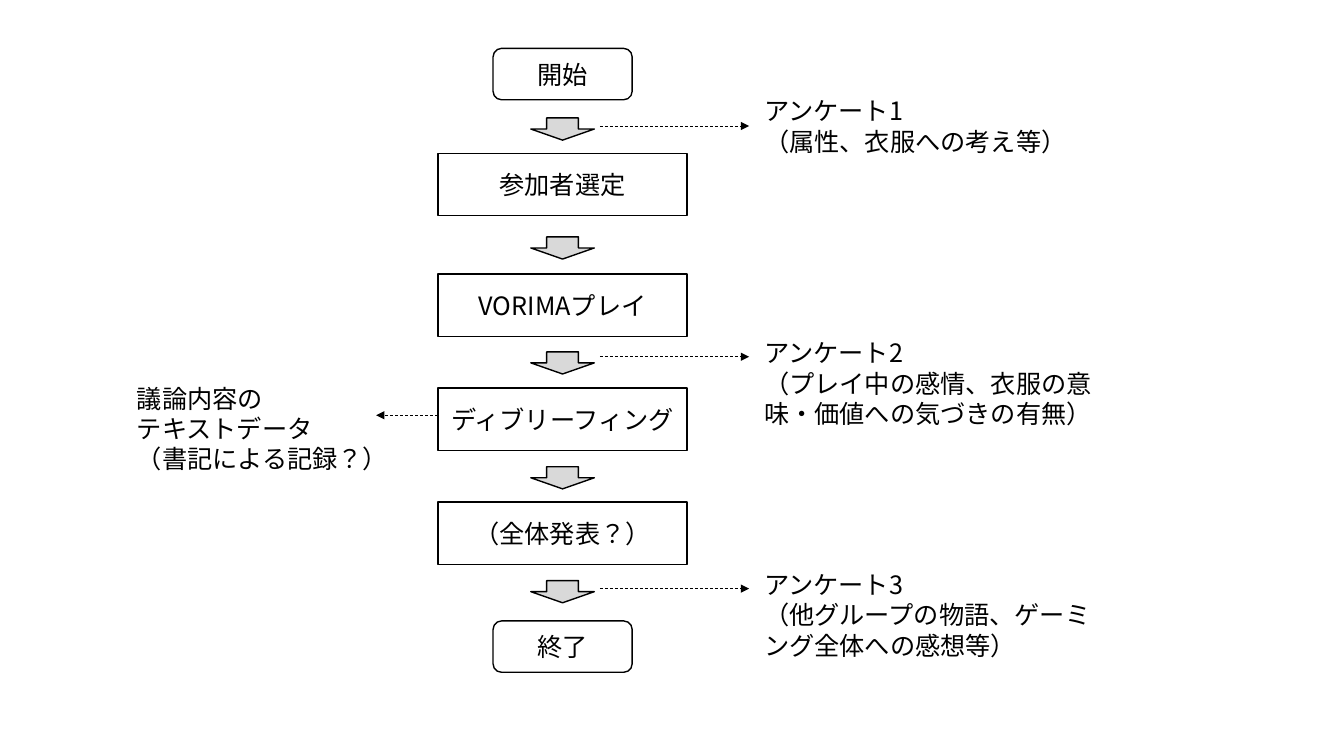
from lxml import etree
from pptx import Presentation
from pptx.dml.color import RGBColor
from pptx.enum.dml import MSO_LINE
from pptx.enum.lang import MSO_LANGUAGE_ID
from pptx.enum.shapes import MSO_CONNECTOR, MSO_SHAPE
from pptx.enum.text import MSO_ANCHOR, MSO_AUTO_SIZE, PP_ALIGN
from pptx.oxml.ns import qn
from pptx.util import Inches, Pt

ROUNDED, RECTANGLE, DOWN = MSO_SHAPE.ROUNDED_RECTANGLE, MSO_SHAPE.RECTANGLE, MSO_SHAPE.DOWN_ARROW
STRAIGHT, DASH = MSO_CONNECTOR.STRAIGHT, MSO_LINE.DASH
MIDDLE, CENTER, LEFT = MSO_ANCHOR.MIDDLE, PP_ALIGN.CENTER, PP_ALIGN.LEFT
JAPANESE = MSO_LANGUAGE_ID.JAPANESE
FONT = "Noto Sans CJK JP"
BLACK, GREY = "000000", "D9D9D9"

AXIS = 5.58  # centre of the flow column
END_SIZE, STEP_SIZE, ARROW_SIZE = (1.38, 0.51), (2.47, 0.62), (0.63, 0.22)
NOTE_LEFT = 7.48


def color(value):
    return RGBColor.from_string(value)


def write(shape, lines, align):
    """Fill the shape with one paragraph per line, in the slide's single text style."""
    frame = shape.text_frame
    frame.word_wrap = True
    frame.text = "\n".join(lines)
    for para in frame.paragraphs:
        para.alignment = align
        para.font.size = Pt(18)
        para.font.color.rgb = color(BLACK)
        para.font.name = FONT
        para.font.language_id = JAPANESE
        defaults = para._p.pPr.find(qn("a:defRPr"))
        etree.SubElement(defaults, qn("a:ea"), typeface=FONT)


deck = Presentation()
deck.slide_width, deck.slide_height = Inches(13.33), Inches(7.5)
page = deck.slides.add_slide(deck.slide_layouts[6])

# Flow column: kind, size, top, label, fill
flow = [
    (ROUNDED, END_SIZE, 0.48, "開始", None),
    (ROUNDED, END_SIZE, 6.16, "終了", None),
    (RECTANGLE, STEP_SIZE, 1.52, "参加者選定", None),
    (RECTANGLE, STEP_SIZE, 2.72, "VORIMAプレイ", None),
    (RECTANGLE, STEP_SIZE, 3.85, "ディブリーフィング", None),
    (RECTANGLE, STEP_SIZE, 4.98, "（全体発表？）", None),
]
flow += [(DOWN, ARROW_SIZE, top, "", GREY) for top in (1.17, 2.35, 3.49, 4.63, 5.76)]

for kind, (width, height), top, label, fill in flow:
    box = page.shapes.add_shape(
        kind, Inches(AXIS - width / 2), Inches(top), Inches(width), Inches(height))
    box.shadow.inherit = False
    box.line.color.rgb = color(BLACK)
    box.line.width = Pt(1)
    if fill:
        box.fill.solid()
        box.fill.fore_color.rgb = color(fill)
    else:
        box.fill.background()
    if label:
        box.text_frame.vertical_anchor = MIDDLE
        write(box, [label], CENTER)

# Data collected along the way: arrow start, arrow end, arrow height, note place, lines
notes = [
    (5.95, 7.43, 1.25, (NOTE_LEFT, 0.9, 3.36, 0.71),
     ["アンケート1", "（属性、衣服への考え等）"]),
    (5.95, 7.43, 3.54, (NOTE_LEFT, 3.3, 3.52, 1.01),
     ["アンケート2", "（プレイ中の感情、衣服の意味・価値への気づきの有無）"]),
    (4.34, 3.73, 4.12, (1.26, 3.75, 2.8, 1.01),
     ["議論内容の", "テキストデータ", "（書記による記録？）"]),
    (5.95, 7.43, 5.84, (NOTE_LEFT, 5.6, 3.52, 1.01),
     ["アンケート3", "（他グループの物語、ゲーミング全体への感想等）"]),
]

for start, end, level, place, lines in notes:
    arrow = page.shapes.add_connector(
        STRAIGHT, Inches(start), Inches(level), Inches(end), Inches(level))
    arrow.line.color.rgb = color(BLACK)
    arrow.line.width = Pt(0.5)
    arrow.line.dash_style = DASH
    etree.SubElement(arrow.line._get_or_add_ln(), qn("a:tailEnd"), type="triangle")
    etree.SubElement(arrow._element.spPr, qn("a:effectLst"))

    note = page.shapes.add_textbox(*map(Inches, place))
    write(note, lines, LEFT)
    note.text_frame.auto_size = MSO_AUTO_SIZE.SHAPE_TO_FIT_TEXT

deck.save("out.pptx")
